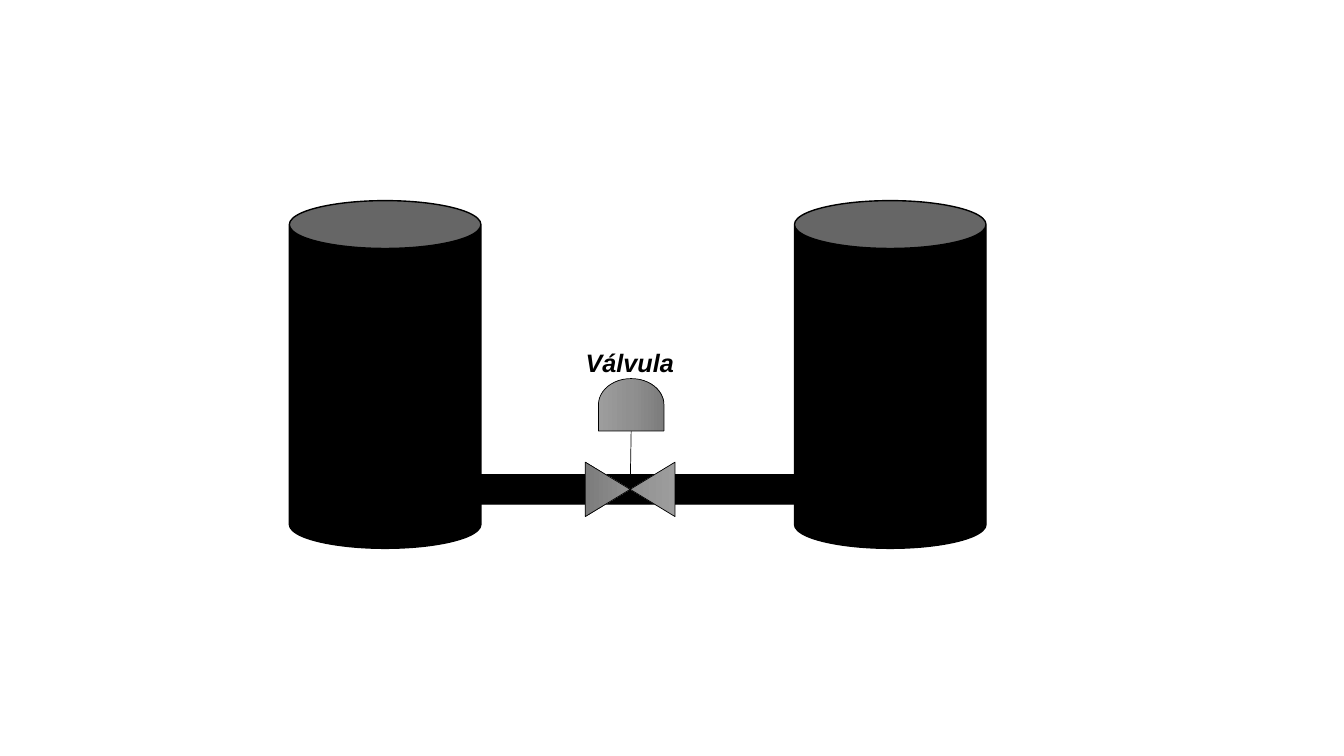
from copy import deepcopy

from pptx import Presentation
from pptx.dml.color import RGBColor
from pptx.enum.shapes import MSO_CONNECTOR, MSO_SHAPE
from pptx.enum.text import MSO_AUTO_SIZE
from pptx.oxml.ns import qn
from pptx.oxml.xmlchemy import OxmlElement
from pptx.util import Emu, Pt

PX = 9144
BLACK = "000000"
METAL = [(0, "9D9D9D"), (0.5, "909090"), (1, "7C7C7C")]


def px(n):
    return Emu(round(n * PX))


def color(value):
    return RGBColor.from_string(value)


def set_line(sp, width):
    sp.line.color.rgb = color(BLACK)
    sp.line.width = Pt(width)


def add_black_shape(s, kind, x, y, w, h):
    sp = s.shapes.add_shape(kind, px(x), px(y), px(w), px(h))
    sp.shadow.inherit = False
    sp.fill.solid()
    sp.fill.fore_color.rgb = color(BLACK)
    set_line(sp, 1)


def add_metal_shape(s, kind, x, y, w, h, rotation):
    sp = s.shapes.add_shape(kind, px(x), px(y), px(w), px(h))
    sp.shadow.inherit = False
    sp.rotation = rotation
    sp.fill.gradient()
    sp.fill.gradient_angle = 270
    stops = sp._element.spPr.find(".//" + qn("a:gsLst"))
    stops.append(deepcopy(stops[0]))
    for stop, (position, value) in zip(sp.fill.gradient_stops, METAL):
        stop.position = position
        stop.color.rgb = color(value)
    set_line(sp, 0.5)


def add_tanks(s, x, y, w, h):
    tank_w = 190
    add_black_shape(s, MSO_SHAPE.FLOWCHART_DIRECT_ACCESS_STORAGE, x + 38, y + 272, 652, 29)
    for left in (x + w - tank_w, x):
        add_black_shape(s, MSO_SHAPE.CAN, left, y, tank_w, h)


def add_valve(s, x, y, w, h):
    add_metal_shape(s, MSO_SHAPE.FLOWCHART_COLLATE, x + 27, y + 101, 54, 89, 90)
    add_metal_shape(s, MSO_SHAPE.FLOWCHART_DELAY, x + 29, y + 29, 52, 65, 270)
    stem = s.shapes.add_connector(
        MSO_CONNECTOR.STRAIGHT, px(x + 55), px(y + 88), px(x + 54), px(y + 146))
    stem._element.spPr.append(OxmlElement("a:effectLst"))
    set_line(stem, 0.5)
    label = s.shapes.add_textbox(px(x), px(y), px(w), px(h))
    tf = label.text_frame
    tf.word_wrap = True
    tf.auto_size = MSO_AUTO_SIZE.SHAPE_TO_FIT_TEXT
    p = tf.paragraphs[0]
    p.text = "Válvula"
    p.font.name = "Arial"
    p.font.size = Pt(18)
    p.font.bold = True
    p.font.italic = True
    p.font.color.rgb = color(BLACK)


def main():
    prs = Presentation()
    prs.slide_width, prs.slide_height = px(1333), px(750)
    s = prs.slides.add_slide(prs.slide_layouts[6])
    add_tanks(s, 287, 199, 691, 345)
    add_valve(s, 571, 340, 110, 40)
    prs.save("out.pptx")


if __name__ == "__main__":
    main()
